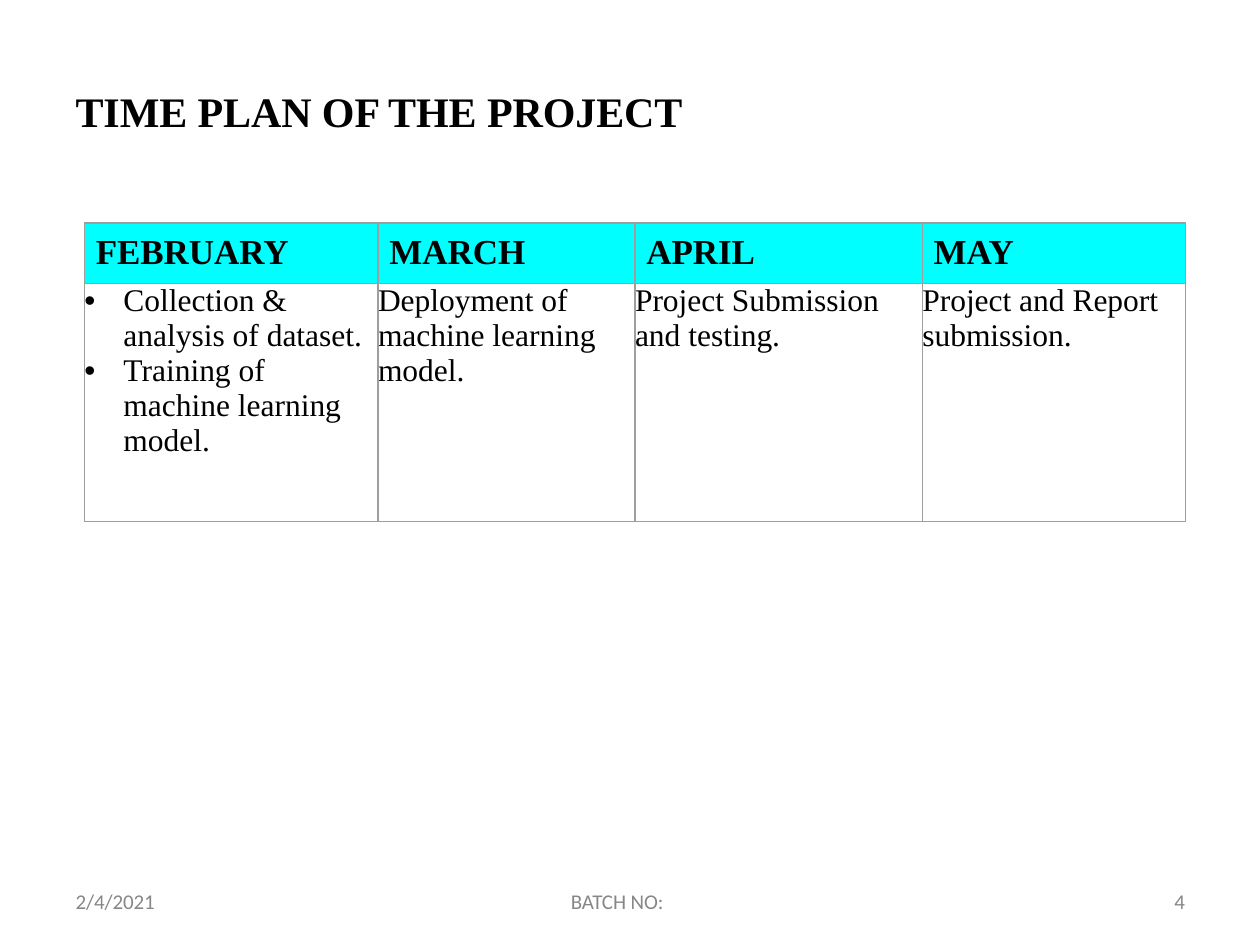
from dataclasses import dataclass

from lxml import etree
from pptx import Presentation
from pptx.dml.color import RGBColor
from pptx.oxml.ns import qn
from pptx.util import Inches, Pt


@dataclass(frozen=True)
class Theme:
    """Colours, fonts and type sizes of the slide."""
    ink: str = "000000"
    muted: str = "878787"
    header_fill: str = "00FFFF"
    border: str = "9E9E9E"
    serif: str = "Times New Roman"
    sans: str = "Calibri"
    title_size: float = 24
    header_size: float = 20
    body_size: float = 18
    footer_size: float = 12
    border_width: float = 0.75


class SlideBuilder:
    """Draws styled elements on one slide."""

    def __init__(self, slide, theme):
        """Keep the slide and its theme."""
        self.slide = slide
        self.theme = theme

    def add_text(self, paragraph, text, size, font, color, bold=False, spacing=0):
        """Add one styled run to a paragraph."""
        run = paragraph.add_run()
        run.text = text
        run.font.size = Pt(size)
        run.font.name = font
        run.font.bold = bold
        run.font.color.rgb = RGBColor.from_string(color)
        if spacing:
            run._r.get_or_add_rPr().set("spc", str(round(spacing * 100)))

    def text_box(self, left, top, width, height, inset_top=0):
        """Add an unpadded text box and return its first paragraph."""
        box = self.slide.shapes.add_textbox(
            Inches(left), Inches(top), Inches(width), Inches(height))
        frame = box.text_frame
        frame.word_wrap = False
        frame.margin_left = frame.margin_right = frame.margin_bottom = 0
        frame.margin_top = Inches(inset_top)
        return frame.paragraphs[0]

    def indent(self, paragraph, left, first=0):
        """Set the left margin and first-line indent."""
        properties = paragraph._p.get_or_add_pPr()
        properties.set("marL", str(Inches(left)))
        properties.set("indent", str(Inches(first)))
        return properties

    def title(self, text):
        """Add the slide title."""
        t = self.theme
        paragraph = self.text_box(0.59, 0.67, 4.85, 0.43, 0.01)
        self.indent(paragraph, 0.01)
        paragraph.space_before = Pt(1)
        self.add_text(paragraph, text, t.title_size, t.serif, t.ink, True, -0.05)

    def footer(self, text, left, width, indent=0.01):
        """Add one item on the footer line."""
        t = self.theme
        paragraph = self.text_box(left, 7.08, width, 0.19)
        self.indent(paragraph, indent)
        paragraph.line_spacing = Pt(12.4)
        self.add_text(paragraph, text, t.footer_size, t.sans, t.muted, spacing=-0.05)

    def borders(self, cell):
        """Draw a thin line on all four sides of a cell."""
        properties = cell._tc.get_or_add_tcPr()
        for position, side in enumerate(("a:lnL", "a:lnR", "a:lnT", "a:lnB")):
            line = etree.Element(qn(side), w=str(Pt(self.theme.border_width)))
            fill = etree.SubElement(line, qn("a:solidFill"))
            etree.SubElement(fill, qn("a:srgbClr"), val=self.theme.border)
            properties.insert(position, line)

    def header_cell(self, cell, month):
        """Fill a heading cell."""
        t = self.theme
        cell.fill.solid()
        cell.fill.fore_color.rgb = RGBColor.from_string(t.header_fill)
        cell.margin_top = Inches(0.08)
        paragraph = cell.text_frame.paragraphs[0]
        self.indent(paragraph, 0.09)
        paragraph.space_before = Pt(6)
        self.add_text(paragraph, month, t.header_size, t.serif, t.ink, True, -0.05)

    def task_cell(self, cell, tasks):
        """Fill a task cell, with bullets when it has several tasks."""
        t = self.theme
        cell.fill.background()
        frame = cell.text_frame
        for number, task in enumerate(tasks):
            paragraph = frame.add_paragraph() if number else frame.paragraphs[0]
            if len(tasks) > 1:
                properties = self.indent(paragraph, 0.31, -0.31)
                etree.SubElement(properties, qn("a:buFont"), typeface="Arial")
                etree.SubElement(properties, qn("a:buChar"), char="•")
            self.add_text(paragraph, task, t.body_size, t.serif, t.ink)

    def plan_table(self, plan, left, top, widths, heights):
        """Add the table with one column per month."""
        table = self.slide.shapes.add_table(
            len(heights), len(widths), Inches(left), Inches(top),
            Inches(sum(widths)), Inches(sum(heights))).table
        table.first_row = table.horz_banding = False
        for row, height in zip(table.rows, heights):
            row.height = Inches(height)
        for column, width in zip(table.columns, widths):
            column.width = Inches(width)
        for cell in table.iter_cells():
            cell.margin_left = cell.margin_right = 0
            cell.margin_top = cell.margin_bottom = 0
        for index, (month, tasks) in enumerate(plan.items()):
            self.header_cell(table.cell(0, index), month)
            self.task_cell(table.cell(1, index), tasks)
        for cell in table.iter_cells():
            self.borders(cell)


PLAN = {
    "FEBRUARY": ["Collection\u00a0& analysis of dataset.",
                 "Training of machine learning model."],
    "MARCH": ["Deployment of machine learning model."],
    "APRIL": ["Project Submission and testing."],
    "MAY": ["Project and Report submission."],
}


def main():
    """Build and save the time plan slide."""
    deck = Presentation()
    deck.slide_width, deck.slide_height = Inches(10), Inches(7.5)
    builder = SlideBuilder(deck.slides.add_slide(deck.slide_layouts[6]), Theme())
    builder.footer("2/4/2021", 0.59, 0.8)
    builder.footer("BATCH NO:", 4.52, 0.79)
    builder.footer("4", 9.29, 0.14, indent=0.03)
    builder.title("TIME PLAN OF THE PROJECT")
    builder.plan_table(PLAN, 0.67, 1.77, (2.33, 2.04, 2.28, 2.09), (0.48, 1.89))
    deck.save("out.pptx")


main()
